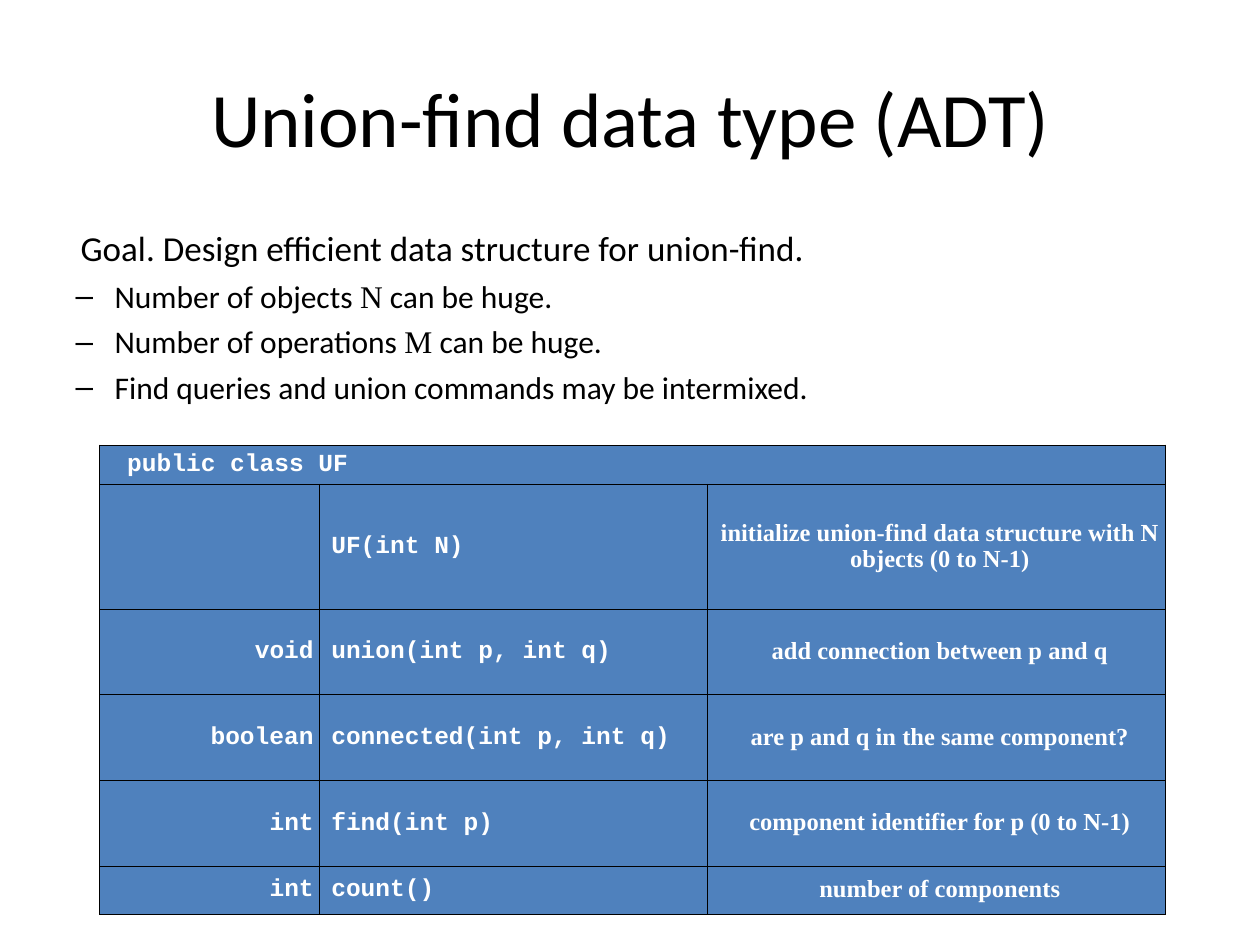
from dataclasses import dataclass

from lxml import etree
from pptx import Presentation
from pptx.dml.color import RGBColor
from pptx.enum.text import MSO_ANCHOR, MSO_AUTO_SIZE, PP_ALIGN
from pptx.oxml.ns import qn
from pptx.util import Inches, Length, Pt

LEFT, CENTER, RIGHT = PP_ALIGN.LEFT, PP_ALIGN.CENTER, PP_ALIGN.RIGHT
TOP, MIDDLE = MSO_ANCHOR.TOP, MSO_ANCHOR.MIDDLE
NO_FIT = MSO_AUTO_SIZE.NONE


@dataclass(frozen=True)
class Theme:
    ink: RGBColor = RGBColor(0, 0, 0)
    light: RGBColor = RGBColor(255, 255, 255)
    blue: RGBColor = RGBColor(0x4F, 0x81, 0xBD)
    sans: str = "Calibri"
    serif: str = "Times New Roman"
    mono: str = "Courier New"
    title: Length = Pt(44)
    goal: Length = Pt(20)
    point: Length = Pt(18)
    cell: Length = Pt(14)
    rule: Length = Pt(0.11)


@dataclass(frozen=True)
class Method:
    kind: str
    call: str
    note: str
    height: float


@dataclass(frozen=True)
class Column:
    width: float
    align: PP_ALIGN
    font: str


THEME = Theme()
COLUMNS = (
    Column(1.74, RIGHT, THEME.mono),
    Column(3.08, LEFT, THEME.mono),
    Column(3.64, CENTER, THEME.serif),
)
METHODS = (
    Method("", "UF(int N)",
           "initialize union-find data structure with N objects (0 to N-1)", 0.99),
    Method("void", "union(int p, int q)", "add connection between p and q", 0.68),
    Method("boolean", "connected(int p, int q)",
           "are p and q in the same component?", 0.68),
    Method("int", "find(int p)", "component identifier for p (0 to N-1)", 0.68),
    Method("int", "count()", "number of components", 0.38),
)
HEAD = 0.31
# Each point is split into words before, a variable, and words after.
POINTS = (
    ("Number of objects ", "N", " can be huge."),
    ("Number of operations ", "M", " can be huge."),
    ("Find queries and union commands may be intermixed.",),
)


def indent(para, margin: float, first: float = 0) -> None:
    props = para._p.get_or_add_pPr()
    props.set("marL", str(Inches(margin)))
    props.set("indent", str(Inches(first)))


def add_run(para, text: str, font: str, size: Length,
            color: RGBColor = THEME.ink, bold: bool = False) -> None:
    run = para.add_run()
    run.text = text
    run.font.name, run.font.size, run.font.bold = font, size, bold
    run.font.color.rgb = color


def place(shape, top: float, height: float, anchor: MSO_ANCHOR):
    """Set a placeholder's box and return its text frame."""
    shape.left, shape.top = Inches(0.5), Inches(top)
    shape.width, shape.height = Inches(9), Inches(height)
    frame = shape.text_frame
    frame.word_wrap, frame.auto_size = True, NO_FIT
    frame.vertical_anchor = anchor
    frame.margin_left, frame.margin_right = Inches(0.1), Inches(0.13)
    frame.margin_top = frame.margin_bottom = Inches(0.05)
    return frame


def fill_title(shape) -> None:
    para = place(shape, 0.3, 1.25, MIDDLE).paragraphs[0]
    para.alignment = CENTER
    indent(para, 0.04)
    add_run(para, "Union-find data type (ADT)", THEME.sans, THEME.title)


def fill_body(shape) -> None:
    frame = place(shape, 1.75, 4.95, TOP)
    goal = frame.paragraphs[0]
    indent(goal, 0.04)
    goal.space_before = Pt(0)
    etree.SubElement(goal._p.get_or_add_pPr(), qn("a:buNone"))
    add_run(goal, "Goal. Design efficient data structure for union-find.",
            THEME.sans, THEME.goal)
    for point in POINTS:
        para = frame.add_paragraph()
        para.level = 1
        para.space_before = Pt(4.5)
        indent(para, 0.31, -0.31)
        for spot, text in enumerate(point):
            font = THEME.serif if spot == 1 else THEME.sans
            add_run(para, text, font, THEME.point)


def style_cell(cell) -> None:
    cell.vertical_anchor = MIDDLE
    cell.margin_left = cell.margin_right = Inches(0.04)
    cell.margin_top = cell.margin_bottom = Inches(0.05)
    props = cell._tc.get_or_add_tcPr()
    for side in ("lnL", "lnR", "lnT", "lnB"):
        line = etree.SubElement(props, qn(f"a:{side}"), w=str(THEME.rule))
        paint = etree.SubElement(line, qn("a:solidFill"))
        etree.SubElement(paint, qn("a:srgbClr"), val=str(THEME.ink))
    cell.fill.solid()
    cell.fill.fore_color.rgb = THEME.blue


def write_cell(cell, text: str, font: str, align: PP_ALIGN,
               margin: float = 0.06) -> None:
    para = cell.text_frame.paragraphs[0]
    para.alignment, para.line_spacing = align, 0.96
    indent(para, margin)
    if text:
        add_run(para, text, font, THEME.cell, THEME.light, True)


def add_api(slide) -> None:
    heights = [HEAD] + [method.height for method in METHODS]
    width = sum(column.width for column in COLUMNS)
    table = slide.shapes.add_table(
        len(heights), len(COLUMNS), Inches(0.79), Inches(3.53),
        Inches(width), Inches(sum(heights))).table
    for row, height in zip(table.rows, heights):
        row.height = Inches(height)
    for slot, column in zip(table.columns, COLUMNS):
        slot.width = Inches(column.width)
    for cell in table.iter_cells():
        style_cell(cell)
    head = table.cell(0, 0)
    head.merge(table.cell(0, len(COLUMNS) - 1))
    write_cell(head, "public class UF", THEME.mono, LEFT, 0.18)
    for row, method in enumerate(METHODS, 1):
        texts = (method.kind, method.call, method.note)
        for col, (text, column) in enumerate(zip(texts, COLUMNS)):
            write_cell(table.cell(row, col), text, column.font, column.align)


def main() -> None:
    deck = Presentation()
    deck.slide_width, deck.slide_height = Inches(10), Inches(7.5)
    slide = deck.slides.add_slide(deck.slide_layouts[1])
    fill_title(slide.shapes.title)
    fill_body(slide.placeholders[1])
    add_api(slide)
    deck.save("out.pptx")


if __name__ == "__main__":
    main()
